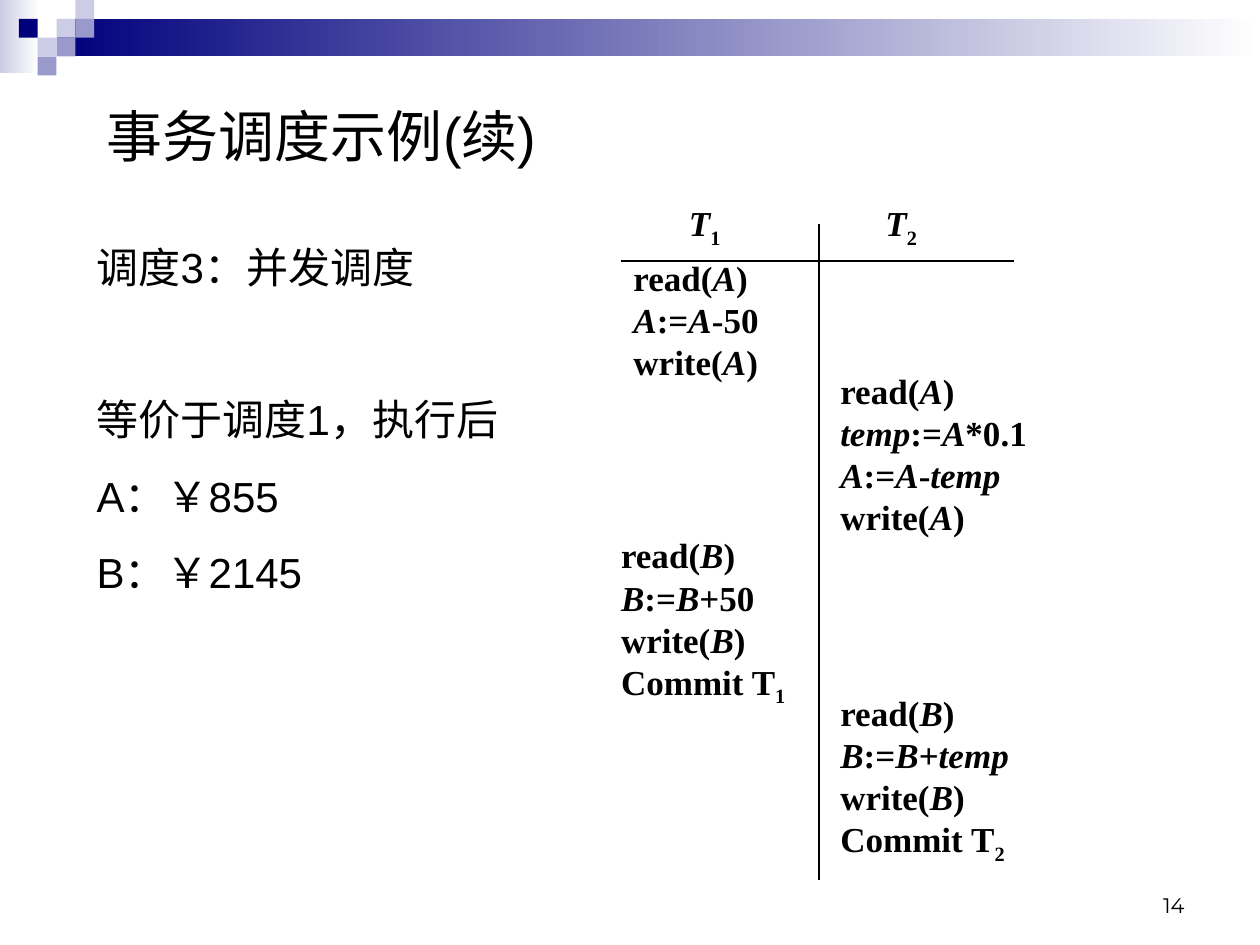
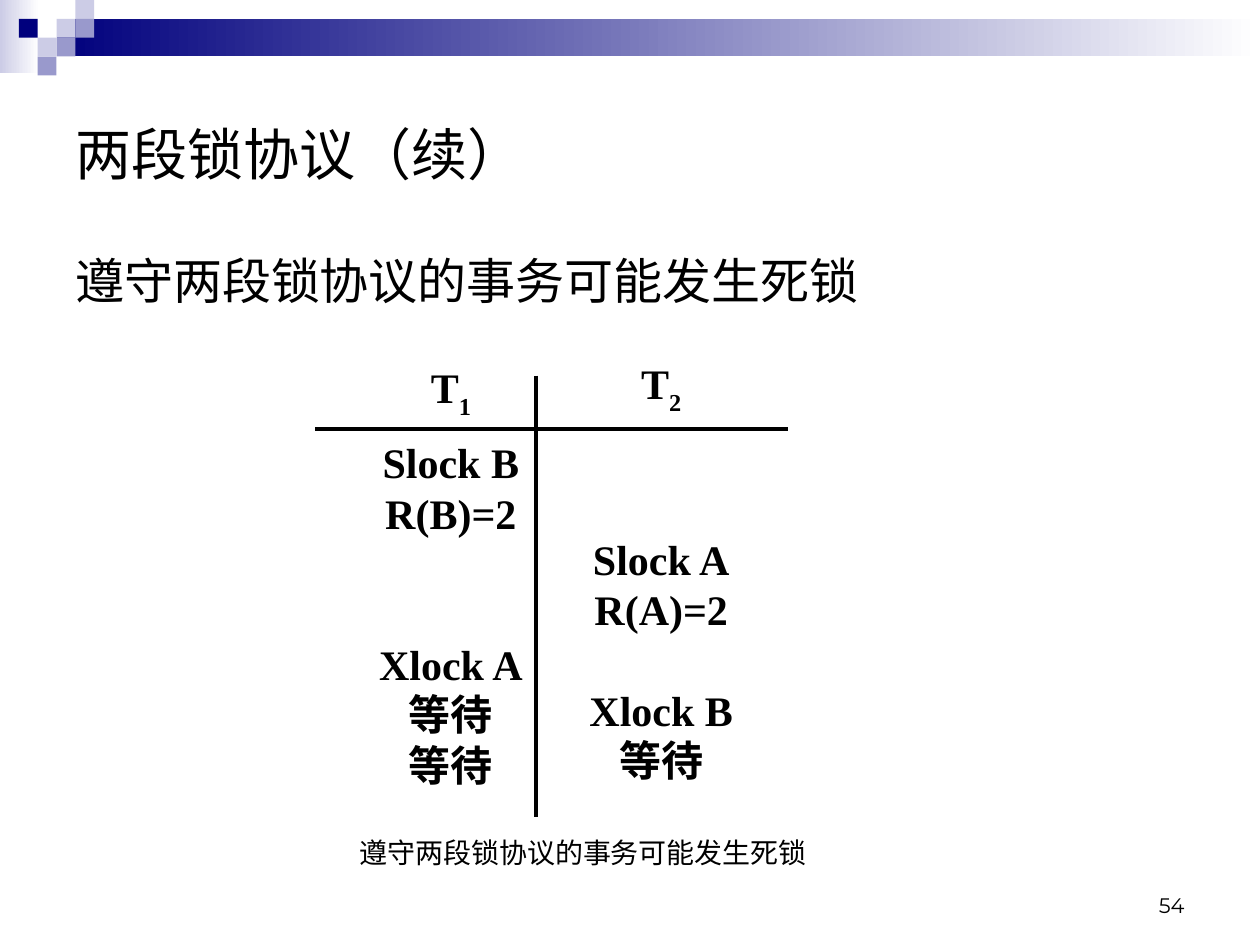
from dataclasses import dataclass

from lxml import etree
from pptx import Presentation
from pptx.dml.color import RGBColor
from pptx.enum.shapes import MSO_CONNECTOR, MSO_SHAPE
from pptx.enum.text import MSO_ANCHOR, MSO_AUTO_SIZE, PP_ALIGN
from pptx.oxml.ns import qn
from pptx.util import Cm, Pt

RECT = MSO_SHAPE.RECTANGLE
STRAIGHT = MSO_CONNECTOR.STRAIGHT
TOP, MIDDLE, BOTTOM = MSO_ANCHOR.TOP, MSO_ANCHOR.MIDDLE, MSO_ANCHOR.BOTTOM
LEFT, CENTER, RIGHT, JUSTIFY = PP_ALIGN.LEFT, PP_ALIGN.CENTER, PP_ALIGN.RIGHT, PP_ALIGN.JUSTIFY
NO_FIT = MSO_AUTO_SIZE.NONE


@dataclass(frozen=True)
class Style:
    name: str
    size: int
    bold: bool = False
    align: PP_ALIGN = LEFT
    anchor: MSO_ANCHOR = TOP
    wrap: bool = True
    sub: int = -25000


@dataclass(frozen=True)
class Theme:
    ink: str = "000000"
    white: str = "FFFFFF"
    navy: str = "00007D"
    mid: str = "9999CC"
    pale: str = "CCCCE6"
    title: Style = Style("Arial", 32, anchor=MIDDLE)
    lead: Style = Style("Arial", 28)
    notes: Style = Style("Arial", 24)
    steps: Style = Style("Times New Roman", 20, bold=True, align=JUSTIFY)
    locks: Style = Style("Times New Roman", 24, bold=True, align=CENTER, wrap=False, sub=-30000)
    caption: Style = Style("Times New Roman", 16, align=CENTER, wrap=False)
    number: Style = Style("Montserrat", 12, align=RIGHT, anchor=BOTTOM)


THEME = Theme()


def rgb(code):
    return RGBColor.from_string(code)


def add_run(p, text, style, italic=False, sub=False):
    if not text:
        return
    r = p.add_run()
    r.text = text
    formats = {"name": style.name, "size": Pt(style.size), "bold": style.bold, "italic": italic}
    for key, value in formats.items():
        setattr(r.font, key, value)
    r.font.color.rgb = rgb(THEME.ink)
    if sub:
        r._r.get_or_add_rPr().set("baseline", str(style.sub))


def write(tf, lines, style, gaps=None):
    """Text between bars is italic; an underscore starts a subscript."""
    frame = {"word_wrap": style.wrap, "auto_size": NO_FIT, "vertical_anchor": style.anchor}
    for key, value in frame.items():
        setattr(tf, key, value)
    for i, line in enumerate(lines):
        p = tf.add_paragraph() if i else tf.paragraphs[0]
        p.alignment = style.align
        p.space_before = Pt((gaps or {}).get(i, 0))
        for j, piece in enumerate(line.split("|")):
            base, _, sub = piece.partition("_")
            add_run(p, base, style, italic=j % 2 == 1)
            add_run(p, sub, style, sub=True)


def add_text(s, box, lines, style, gaps=None):
    sp = s.shapes.add_textbox(*map(Cm, box))
    write(sp.text_frame, lines, style, gaps)


def add_line(s, x1, y1, x2, y2, width):
    line = s.shapes.add_connector(STRAIGHT, Cm(x1), Cm(y1), Cm(x2), Cm(y2))
    line.line.color.rgb = rgb(THEME.ink)
    line.line.width = Pt(width)
    etree.SubElement(line.element.spPr, qn("a:effectLst"))


def add_block(s, box, *colors):
    sp = s.shapes.add_shape(RECT, *map(Cm, box))
    sp.shadow.inherit = False
    sp.line.fill.background()
    if len(colors) == 1:
        sp.fill.solid()
        sp.fill.fore_color.rgb = rgb(colors[0])
    else:
        sp.fill.gradient()
        sp.fill.gradient_angle = 0
        for stop, position, color in zip(sp.fill.gradient_stops, (0, 1), colors):
            stop.position = position
            stop.color.rgb = rgb(color)
    return sp


def add_band(s, layout, unit=0.38):
    t = THEME
    blocks = [
        add_block(s, (0, 0, 0.79, 1.47), t.pale, t.white),
        add_block(s, (3 * unit, unit, 25.4 - 3 * unit, 2 * unit), t.navy, t.white),
    ]
    mosaic = [(3, 1, t.pale), (4, 0, t.pale), (4, 1, t.mid), (2, 2, t.pale),
              (1, 1, t.navy), (3, 2, t.mid), (2, 3, t.mid)]
    for col, row, color in mosaic:
        blocks.append(add_block(s, (col * unit, row * unit, unit, unit), color))
    for sp in blocks:
        layout.shapes.element.append(sp.element)


def add_head(s, box, text, number):
    title = s.shapes.title
    for key, value in zip(("left", "top", "width", "height"), box):
        setattr(title, key, Cm(value))
    write(title.text_frame, [text], THEME.title)
    add_text(s, (18.21, 17.35, 5.92, 1.27), [number], THEME.number)


def add_cross(s, box, column, row, width, rise=0):
    x, y, w, h = box
    add_line(s, x, y + row, x + w, y + row, width)
    add_line(s, x + column, y + rise, x + column, y + h, width)


def add_step_schedule(s, box):
    x, y, w, h = box
    add_cross(s, (x + 0.25, y, w - 0.25, h), 3.99, 1.32, 0.75, rise=0.58)
    blocks = [
        (1.37, 0, 2.26, 1.35, ["|T|_1"]),
        (5.33, 0, 2.26, 1.35, ["|T|_2"]),
        (0.25, 1.11, 3.96, 2.67, ["read(|A|)", "|A|:=|A|-50", "write(|A|)"]),
        (4.42, 3.38, 5.1, 3.4, ["read(|A|)", "|temp|:=|A|*0.1", "|A|:=|A|-|temp|", "write(|A|)"]),
        (0, 6.7, 4.01, 3.68, ["read(|B|)", "|B|:=|B|+50", "write(|B|)", "Commit T_1"]),
        (4.42, 9.88, 5, 3.68, ["read(|B|)", "|B|:=|B|+|temp|", "write(|B|)", "Commit T_2"]),
    ]
    for dx, dy, bw, bh, lines in blocks:
        add_text(s, (x + dx, y + dy, bw, bh), lines, THEME.steps)


def add_lock_schedule(s, box):
    x, y, w, h = box
    add_cross(s, box, 4.45, 1.07, 2.25)
    row = THEME.locks.size * 1.2
    head = 9
    columns = [
        (1.04, -0.41, ["T_1", "Slock B", "R(B)=2", "Xlock A", "等待", "等待"],
         {1: head, 3: 2 * row}),
        (5.28, -0.49, ["T_2", "Slock A", "R(A)=2", "Xlock B", "等待"],
         {1: head + 2 * row, 3: row}),
    ]
    for dx, dy, lines, gaps in columns:
        add_text(s, (x + dx, y + dy, 3.4, h + 0.5), lines, THEME.locks, gaps)


def build_concurrent_slide(s):
    add_head(s, (1.9, 1.93, 21.59, 1.6), "事务调度示例(续)", "14")
    add_step_schedule(s, (12.27, 3.94, 8.18, 13.79))
    notes = ["调度3：并发调度", "等价于调度1，执行后", "A：￥855", "B：￥2145"]
    add_text(s, (1.7, 4.75, 8.69, 8.48), notes, THEME.notes, {1: 58, 2: 15, 3: 15})


def build_deadlock_slide(s):
    message = "遵守两段锁协议的事务可能发生死锁"
    add_head(s, (1.27, 1.47, 22.86, 3.25), "两段锁协议（续）", "54")
    add_text(s, (1.27, 4.93, 22.86, 1.6), [message], THEME.lead)
    add_lock_schedule(s, (6.35, 7.57, 9.53, 8.89))
    add_text(s, (5.98, 16.71, 11.56, 1.02), [message], THEME.caption)


def main():
    prs = Presentation()
    prs.slide_width, prs.slide_height = Cm(25.4), Cm(19.05)
    layout = prs.slide_layouts[5]
    for ph in list(layout.placeholders)[1:]:
        layout.shapes.element.remove(ph.element)
    slides = [prs.slides.add_slide(layout) for _ in range(2)]
    add_band(slides[0], layout)
    for build, s in zip((build_concurrent_slide, build_deadlock_slide), slides):
        build(s)
    prs.save("out.pptx")


if __name__ == "__main__":
    main()
